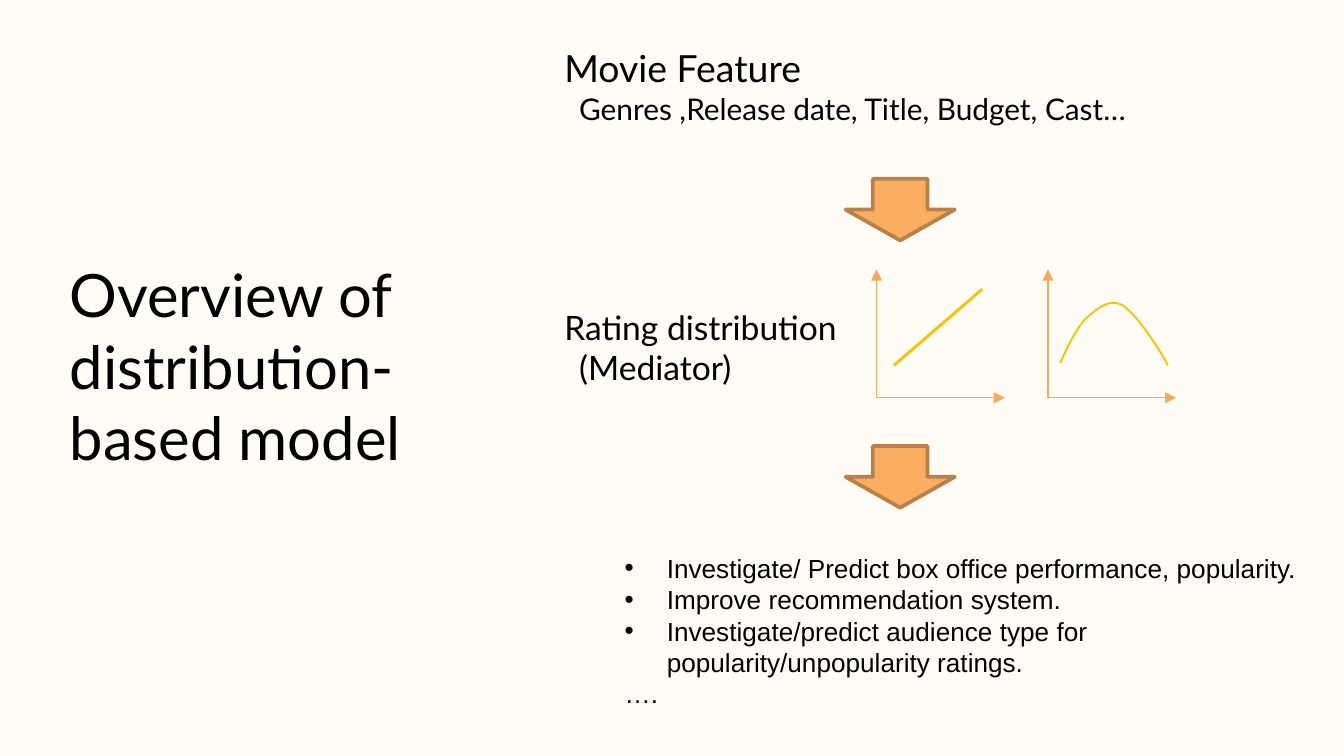
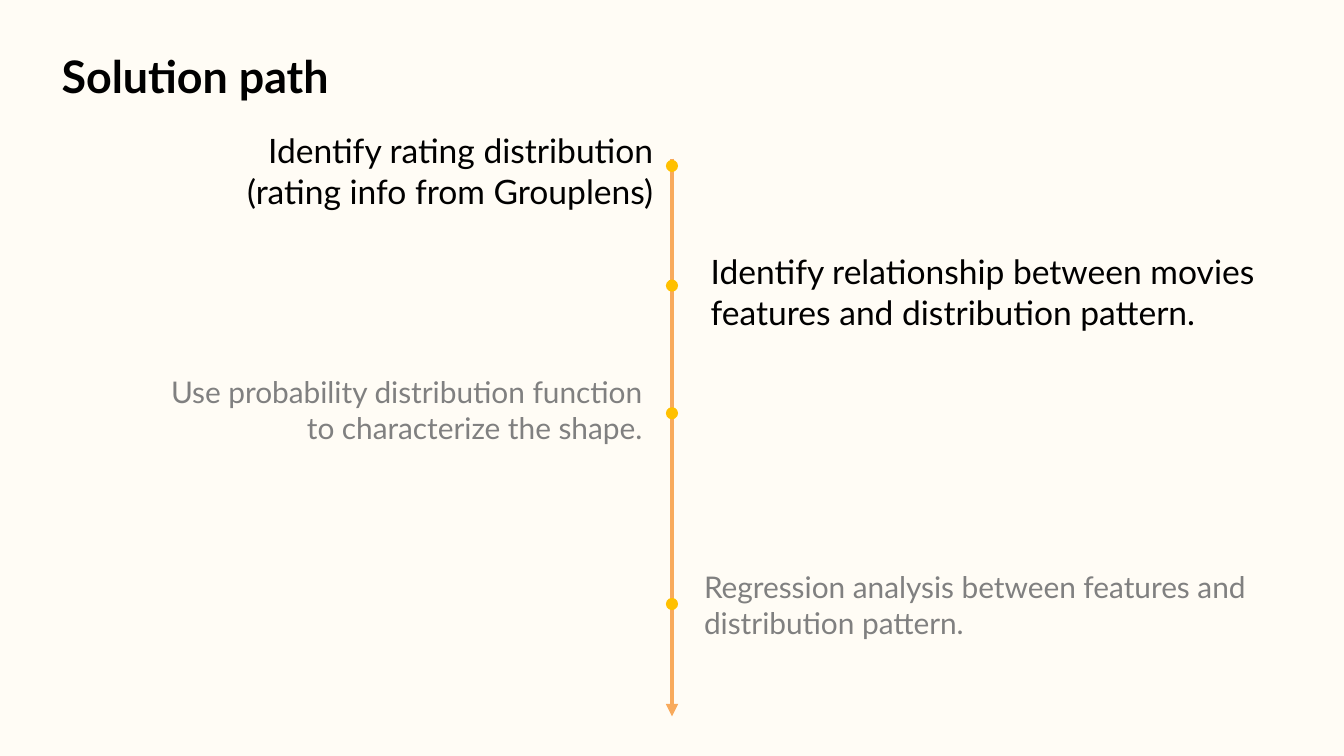
from lxml.etree import SubElement
from pptx import Presentation
from pptx.dml.color import RGBColor
from pptx.enum.shapes import MSO_CONNECTOR, MSO_SHAPE
from pptx.enum.text import MSO_AUTO_SIZE, PP_ALIGN
from pptx.oxml.ns import qn
from pptx.util import Pt

# Shared look
PAPER, INK, GREY = "FFFCF5", "000000", "808080"
AXIS, GOLD, FILL, EDGE = "F8AA5C", "FFC000", "FAAE62", "B98149"
WIDE, HIGH = 720, 405
HANG = 22.5

# Overview content: (text, size, indent)
TITLE = "Overview of distribution-based model"
FEATURE = [("Movie Feature", 20, 0),
           ("Genres ,Release date, Title, Budget, Cast…", 16, 8)]
RATING = [("Rating distribution", 18, 0), ("(Mediator)", 18, 8)]
GOALS = ["Investigate/ Predict box office performance, popularity.",
         "Improve recommendation system.",
         "Investigate/predict audience type for popularity/unpopularity ratings."]
MORE = "…."

# Curve: start point, then two cubic pieces
CURVE = [(568.1, 194.4),
         (572.4, 185), (576.7, 175.7), (581.8, 170.6),
         (587.5, 165.6), (594, 159.8), (601.2, 163.4),
         (608.4, 167.8), (620.6, 185.8), (625.7, 195.8)]

# Path content: (text lines, box, dot centre, size, colour, align)
STEPS = [
    (["Identify rating distribution", "(rating info from Grouplens)"],
     (108.7, 66.2, 248.4, 51), 88.9, 18, INK, "right"),
    (["Identify relationship between movies features and distribution pattern."],
     (373.7, 131, 309.6, 72.7), 153, 18, INK, "left"),
    (["Use probability distribution function to characterize the shape."],
     (82.1, 196.6, 269.3, 65.5), 221.4, 16, GREY, "right"),
    (["Regression analysis between features and distribution pattern."],
     (370.1, 301, 322.6, 46), 323.6, 16, GREY, "left"),
]
DOT = 6.5


def hue(code):
    return RGBColor.from_string(code)


def page(deck):
    slide = deck.slides.add_slide(deck.slide_layouts[6])
    slide.background.fill.solid()
    slide.background.fill.fore_color.rgb = hue(PAPER)
    return slide


def put(para, text, size=18, color=INK, font="Lato", bold=False,
        align="left", indent=0, bullet=False):
    props = para._p.get_or_add_pPr()
    if bullet:
        props.set("marL", str(Pt(HANG)))
        props.set("indent", str(-Pt(HANG)))
        tint = SubElement(props, qn("a:buClr"))
        SubElement(tint, qn("a:srgbClr"), val=color)
        SubElement(props, qn("a:buFont"), typeface="Arial")
        SubElement(props, qn("a:buChar"), char="•")
    elif indent:
        props.set("marL", str(Pt(indent)))
        props.set("indent", "0")
    para.alignment = PP_ALIGN.RIGHT if align == "right" else PP_ALIGN.LEFT
    run = para.add_run()
    run.text = text
    run.font.name, run.font.size, run.font.bold = font, Pt(size), bold
    run.font.color.rgb = hue(color)


def write(slide, box, lines, **style):
    """Each line is a text with its own format, over the shared style."""
    frame = slide.shapes.add_textbox(*map(Pt, box)).text_frame
    frame.word_wrap = True
    frame.auto_size = MSO_AUTO_SIZE.SHAPE_TO_FIT_TEXT
    for i, (text, own) in enumerate(lines):
        para = frame.add_paragraph() if i else frame.paragraphs[0]
        put(para, text, **{**style, **own})


def line(slide, start, end, color, width, head=False):
    link = slide.shapes.add_connector(
        MSO_CONNECTOR.STRAIGHT, *map(Pt, (*start, *end)))
    link.line.color.rgb = hue(color)
    link.line.width = Pt(width)
    if head:
        SubElement(link.line._get_or_add_ln(), qn("a:tailEnd"), type="triangle")
    SubElement(link._element.spPr, qn("a:effectLst"))


def shape(slide, kind, box, fill, edge=None, width=0):
    item = slide.shapes.add_shape(kind, *map(Pt, box))
    item.shadow.inherit = False
    item.fill.solid()
    item.fill.fore_color.rgb = hue(fill)
    if edge:
        item.line.color.rgb = hue(edge)
        item.line.width = Pt(width)
    else:
        item.line.fill.background()


def bend(a, b, c, d, count=12):
    """Points along one cubic piece, without its start."""
    for i in range(1, count + 1):
        t = i / count
        u = 1 - t
        yield tuple(Pt(u**3 * p + 3 * u * u * t * q + 3 * u * t * t * r + t**3 * s)
                    for p, q, r, s in zip(a, b, c, d))


def curve(slide):
    pen = slide.shapes.build_freeform(*map(Pt, CURVE[0]))
    for i in range(0, len(CURVE) - 1, 3):
        pen.add_line_segments(list(bend(*CURVE[i:i + 4])), close=False)
    item = pen.convert_to_shape()
    item.shadow.inherit = False
    item.fill.background()
    item.line.color.rgb = hue(GOLD)
    item.line.width = Pt(1)


def overview(deck):
    slide = page(deck)
    # Text blocks
    for box, rows in (((295.2, 20.9, 332.6, 51), FEATURE),
                      ((295.2, 160.6, 214.6, 51), RATING)):
        write(slide, box, [(text, dict(size=size, indent=gap))
                           for text, size, gap in rows])
    write(slide, (30.2, 134.6, 253.4, 123.8), [(TITLE, {})], size=32)
    goals = [(text, dict(bullet=True)) for text in GOALS] + [(MORE, {})]
    write(slide, (327.6, 292.3, 392, 92), goals, size=14, font="Arial")
    # Two small plots
    base, span = 213.1, 68.7
    for left in (469.6, 561.4):
        for end in ((left, base - span), (left + span, base)):
            line(slide, (left, base), end, AXIS, 0.75, head=True)
    line(slide, (478.8, 195.8), (526.3, 154.8), GOLD, 1.5)
    curve(slide)
    # Flow arrows
    for top in (95.8, 239):
        shape(slide, MSO_SHAPE.DOWN_ARROW, (453, top, 58.5, 33), FILL, EDGE, 2)


def route(deck):
    slide = page(deck)
    write(slide, (25.9, 22.3, 234.7, 36), [("Solution path", {})],
          size=24, bold=True)
    # Time line, then its steps
    mid = WIDE / 2
    line(slide, (mid, 85), (mid, 383.8), AXIS, 2.25, head=True)
    for texts, box, spot, size, color, align in STEPS:
        write(slide, box, [(text, {}) for text in texts],
              size=size, color=color, align=align)
        shape(slide, MSO_SHAPE.OVAL,
              (mid - DOT / 2, spot - DOT / 2, DOT, DOT), GOLD)


def main():
    deck = Presentation()
    deck.slide_width, deck.slide_height = Pt(WIDE), Pt(HIGH)
    overview(deck)
    route(deck)
    deck.save("out.pptx")


if __name__ == "__main__":
    main()
